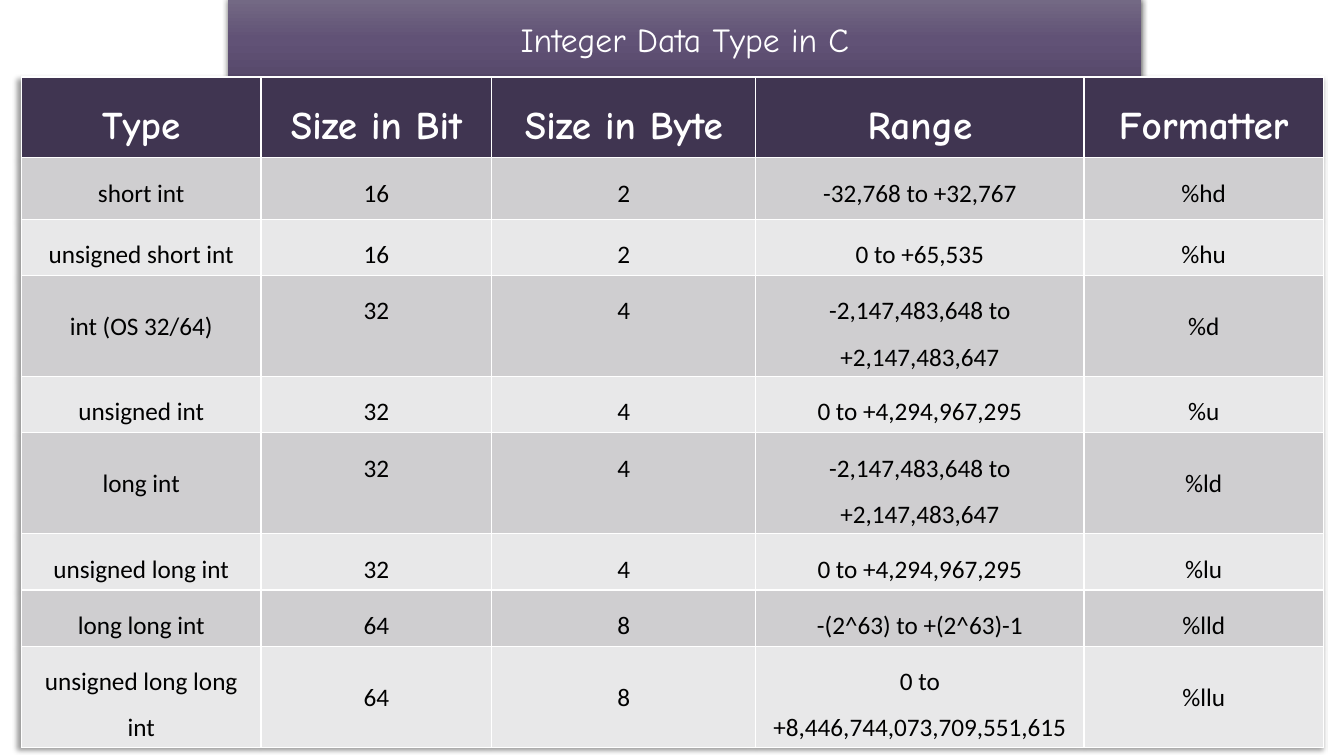
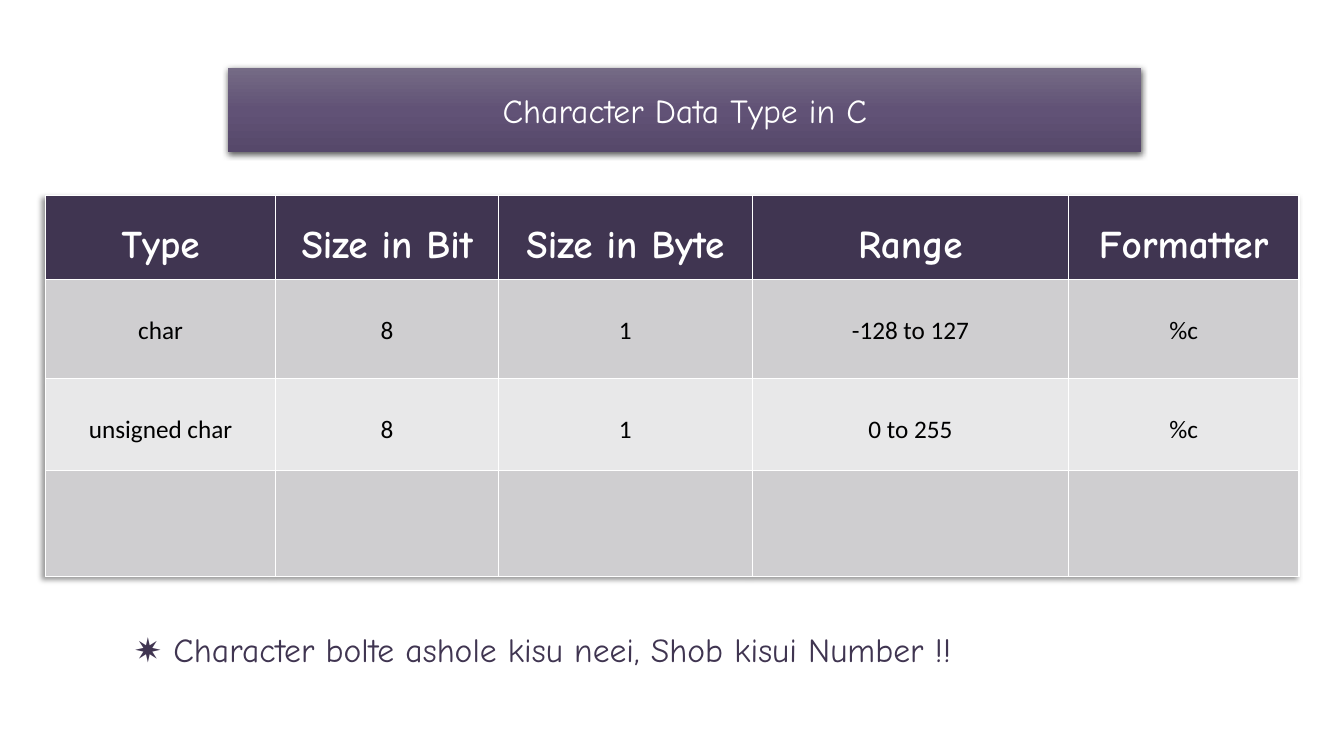
"""Build two slides of tables on the integer and character data types in C."""
from lxml import etree
from pptx import Presentation
from pptx.dml.color import RGBColor
from pptx.enum import text
from pptx.util import Pt

COLORS = {
    "header": "403551", "odd": "CFCED0", "even": "E8E8E9",
    "white": "FFFFFF", "black": "000000",
    "top": "756B85", "middle": "615276", "bottom": "56486A",
}
HEADING_FONT, BODY_FONT = "Comic Neue", "Calibri"
DRAWING = "http://schemas.openxmlformats.org/drawingml/2006/main"
HEADINGS = ["Type", "Size in Bit", "Size in Byte", "Range", "Formatter"]
COLUMN_WIDTHS = [171, 165, 188.5, 234.5, 171]
SIGNED_RANGE = "-2,147,483,648 to +2,147,483,647"
UNSIGNED_RANGE = "0 to +4,294,967,295"
EVERY_COLUMN = range(len(HEADINGS))

SLIDES = [
    {
        "title": "Integer Data Type in C", "title_top": 9.5,
        "left": 15.4, "top": 55, "width": 930, "header_height": 54.7,
        "rows": [
            (43.9, [], ["short int", "16", "2", "-32,768 to +32,767", "%hd"]),
            (40.3, [], ["unsigned short int", "16", "2", "0 to +65,535", "%hu"]),
            (64.8, [0, 4], ["int (OS 32/64)", "32", "4", SIGNED_RANGE, "%d"]),
            (40.3, [], ["unsigned int", "32", "4", UNSIGNED_RANGE, "%u"]),
            (64.8, [0, 4], ["long int", "32", "4", SIGNED_RANGE, "%ld"]),
            (40.3, [], ["unsigned long int", "32", "4", UNSIGNED_RANGE, "%lu"]),
            (40.3, [], ["long long int", "64", "8", "-(2^63) to +(2^63)-1", "%lld"]),
            (64.8, [1, 2, 4], ["unsigned long long int", "64", "8",
                               "0 to +8,446,744,073,709,551,615", "%llu"]),
        ],
    },
    {
        "title": "Character Data Type in C", "title_top": 60.2,
        "left": 32.4, "top": 139.7, "width": 895.5, "header_height": 60.2,
        "rows": [
            (70.6, EVERY_COLUMN, ["char", "8", "1", "-128 to 127", "%c"]),
            (65.5, EVERY_COLUMN, ["unsigned char", "8", "1", "0 to 255", "%c"]),
            (75.6, [], [""] * len(HEADINGS)),
        ],
        "note": "✷ Character bolte ashole kisu neei, Shob kisui Number !!",
    },
]


def style_text(para, size, font, color, bold=False):
    """Format every run of a paragraph."""
    for span in para.runs:
        span.font.size = Pt(size)
        span.font.name = font
        span.font.bold = bold
        span.font.color.rgb = RGBColor.from_string(COLORS[color])


def shadow_effect(blur, distance, angle, opacity):
    """Return an effect list with one black outer shadow."""
    return etree.fromstring(
        f'<a:effectLst xmlns:a="{DRAWING}"><a:outerShdw blurRad="{Pt(blur)}" '
        f'dist="{Pt(distance)}" dir="{angle * 60000}" rotWithShape="0">'
        f'<a:srgbClr val="{COLORS["black"]}"><a:alpha val="{opacity * 1000}"/>'
        '</a:srgbClr></a:outerShdw></a:effectLst>')


deck = Presentation()
deck.slide_width, deck.slide_height = Pt(960), Pt(540)
stops = "".join(
    f'<a:gs pos="{place * 1000}"><a:srgbClr val="{COLORS[name]}"/></a:gs>'
    for place, name in [(0, "top"), (50, "middle"), (100, "bottom")])

for content in SLIDES:
    page = deck.slides.add_slide(deck.slide_layouts[5])

    banner = page.shapes.title
    banner.left, banner.top = Pt(163), Pt(content["title_top"])
    banner.width, banner.height = Pt(652.3), Pt(36.35)
    properties = banner._element.spPr
    properties.append(etree.fromstring(
        f'<a:prstGeom xmlns:a="{DRAWING}" prst="rect"><a:avLst/></a:prstGeom>'))
    properties.append(etree.fromstring(
        f'<a:gradFill xmlns:a="{DRAWING}" rotWithShape="1"><a:gsLst>{stops}</a:gsLst>'
        '<a:lin ang="5400000" scaled="0"/></a:gradFill>'))
    properties.append(shadow_effect(4.5, 1.5, 90, 63))
    frame = banner.text_frame
    frame.text = content["title"]
    frame.word_wrap = True
    frame.auto_size = text.MSO_AUTO_SIZE.SHAPE_TO_FIT_TEXT
    frame.vertical_anchor = text.MSO_ANCHOR.MIDDLE
    frame.paragraphs[0].alignment = text.PP_ALIGN.CENTER
    style_text(frame.paragraphs[0], 24, HEADING_FONT, "white")

    rows = [(content["header_height"], [], HEADINGS)] + content["rows"]
    table = page.shapes.add_table(
        len(rows), len(HEADINGS), Pt(content["left"]), Pt(content["top"]),
        Pt(content["width"]), Pt(sum(row[0] for row in rows))).table
    table._tbl.tblPr.insert(0, shadow_effect(4, 3, 135, 40))
    scale = content["width"] / sum(COLUMN_WIDTHS)
    for column, width in zip(table.columns, COLUMN_WIDTHS):
        column.width = Pt(width * scale)
    for row_number, (height, double_spaced, values) in enumerate(rows):
        table.rows[row_number].height = Pt(height)
        is_header = row_number == 0
        fill = "header" if is_header else "odd" if row_number % 2 else "even"
        for column_number, value in enumerate(values):
            cell = table.cell(row_number, column_number)
            cell.fill.solid()
            cell.fill.fore_color.rgb = RGBColor.from_string(COLORS[fill])
            if not value:
                continue
            cell.text_frame.text = value
            para = cell.text_frame.paragraphs[0]
            para.alignment = text.PP_ALIGN.CENTER
            para.line_spacing = 2.0 if column_number in double_spaced else 1.5
            if is_header:
                style_text(para, 28, HEADING_FONT, "white", bold=True)
            else:
                style_text(para, 18, BODY_FONT, "black")

    if "note" in content:
        note = page.shapes.add_textbox(Pt(88.6), Pt(451.4), Pt(686.2), Pt(28.1))
        note.text_frame.word_wrap = True
        note.text_frame.vertical_anchor = text.MSO_ANCHOR.MIDDLE
        note.text_frame.text = content["note"]
        para = note.text_frame.paragraphs[0]
        para.line_spacing = 0.9
        para.space_before, para.space_after = Pt(10), Pt(12)
        style_text(para, 24, HEADING_FONT, "header")

deck.save("out.pptx")
